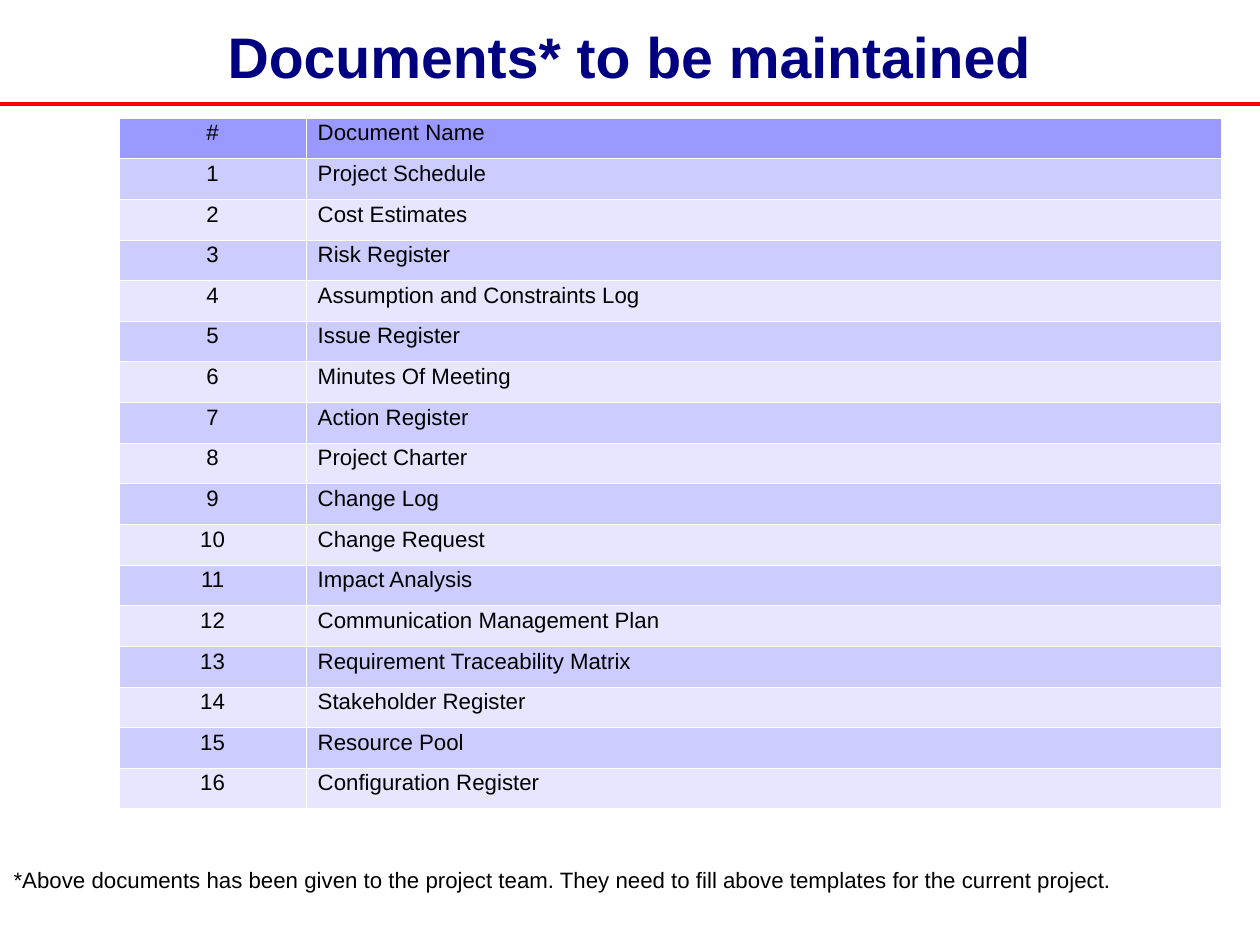
from lxml import etree
from pptx import Presentation, util as u
from pptx.dml.color import RGBColor
from pptx.enum import shapes, text
from pptx.oxml import ns

TITLE = "Documents* to be maintained"
HEADER = ("#", "Document Name")
DOCUMENTS = [
    "Project Schedule",
    "Cost Estimates",
    "Risk Register",
    "Assumption and Constraints Log",
    "Issue Register",
    "Minutes Of Meeting",
    "Action Register",
    "Project Charter",
    "Change Log",
    "Change Request",
    "Impact Analysis",
    "Communication Management Plan",
    "Requirement Traceability Matrix",
    "Stakeholder Register",
    "Resource Pool",
    "Configuration Register",
]
FOOTNOTE = ("*Above documents has been given to the project team. "
            "They need to fill above templates for the current project.")

THEME = {
    "font": "Arial", "title_size": 36, "body_size": 14,
    "title": "000080", "body": "000000", "rule": "FF0000",
    "header": "9999FF", "bands": ("CCCCFF", "E6E6FF"), "border": "FFFFFF",
}
CM_PER_INCH = 2.54
SLIDE_W, SLIDE_H = 28 / CM_PER_INCH, 21 / CM_PER_INCH
RULE_Y = 0.91
TABLE_X, TABLE_Y, TABLE_H = 1.04, 1.03, 6.05
COL_WIDTHS = (1.64, 8)


def rgb(name):
    return RGBColor.from_string(THEME[name])


def write(tf, content, role, align, spacing, bold=False):
    tf.text = content
    p = tf.paragraphs[0]
    p.alignment = align
    p.line_spacing = spacing
    font = p.runs[0].font
    font.name = THEME["font"]
    font.size = u.Pt(THEME[role + "_size"])
    font.color.rgb = rgb(role)
    font.bold = bold


def add_text(s, box, content, role, align, bold=False):
    tf = s.shapes.add_textbox(*map(u.Inches, box)).text_frame
    write(tf, content, role, align, 0.93, bold)
    return tf


def add_borders(cell):
    tcPr = cell._tc.get_or_add_tcPr()
    for i, side in enumerate(("lnL", "lnR", "lnT", "lnB")):
        ln = etree.Element(ns.qn("a:" + side), w=str(u.Pt(0.06)))
        fill = etree.SubElement(ln, ns.qn("a:solidFill"))
        etree.SubElement(fill, ns.qn("a:srgbClr"), val=THEME["border"])
        tcPr.insert(i, ln)


def add_documents_table(s):
    rows = [HEADER] + [(str(n), name) for n, name in enumerate(DOCUMENTS, 1)]
    tbl = s.shapes.add_table(
        len(rows), len(HEADER), u.Inches(TABLE_X), u.Inches(TABLE_Y),
        u.Inches(sum(COL_WIDTHS)), u.Inches(TABLE_H)).table
    tbl.first_row = tbl.horz_banding = False
    for col, width in zip(tbl.columns, COL_WIDTHS):
        col.width = u.Inches(width)
    aligns = (text.PP_ALIGN.CENTER, text.PP_ALIGN.LEFT)
    for i, row in enumerate(rows):
        color = THEME["bands"][(i - 1) % 2] if i else THEME["header"]
        for j, content in enumerate(row):
            cell = tbl.cell(i, j)
            cell.fill.solid()
            cell.fill.fore_color.rgb = RGBColor.from_string(color)
            add_borders(cell)
            write(cell.text_frame, content, "body", aligns[j], 0.87)


def main():
    prs = Presentation()
    prs.slide_width = u.Inches(SLIDE_W)
    prs.slide_height = u.Inches(SLIDE_H)
    s = prs.slides.add_slide(prs.slide_layouts[6])

    rule = s.shapes.add_connector(
        shapes.MSO_CONNECTOR.STRAIGHT, 0, u.Inches(RULE_Y),
        u.Inches(SLIDE_W), u.Inches(RULE_Y))
    rule.line.color.rgb = rgb("rule")
    rule.line.width = u.Pt(2.83)
    etree.SubElement(rule._element.spPr, ns.qn("a:effectLst"))

    tf = add_text(s, (0.55, 0.12, 9.91, 0.75), TITLE, "title",
                  text.PP_ALIGN.CENTER, bold=True)
    tf.word_wrap = True
    tf.vertical_anchor = text.MSO_ANCHOR.MIDDLE
    tf.margin_left = tf.margin_right = tf.margin_bottom = 0

    add_documents_table(s)

    tf = add_text(s, (0.02, 7.55, 9.81, 0.32), FOOTNOTE, "body",
                  text.PP_ALIGN.LEFT)
    tf.word_wrap = False
    tf.auto_size = text.MSO_AUTO_SIZE.SHAPE_TO_FIT_TEXT

    prs.save("out.pptx")


if __name__ == "__main__":
    main()
